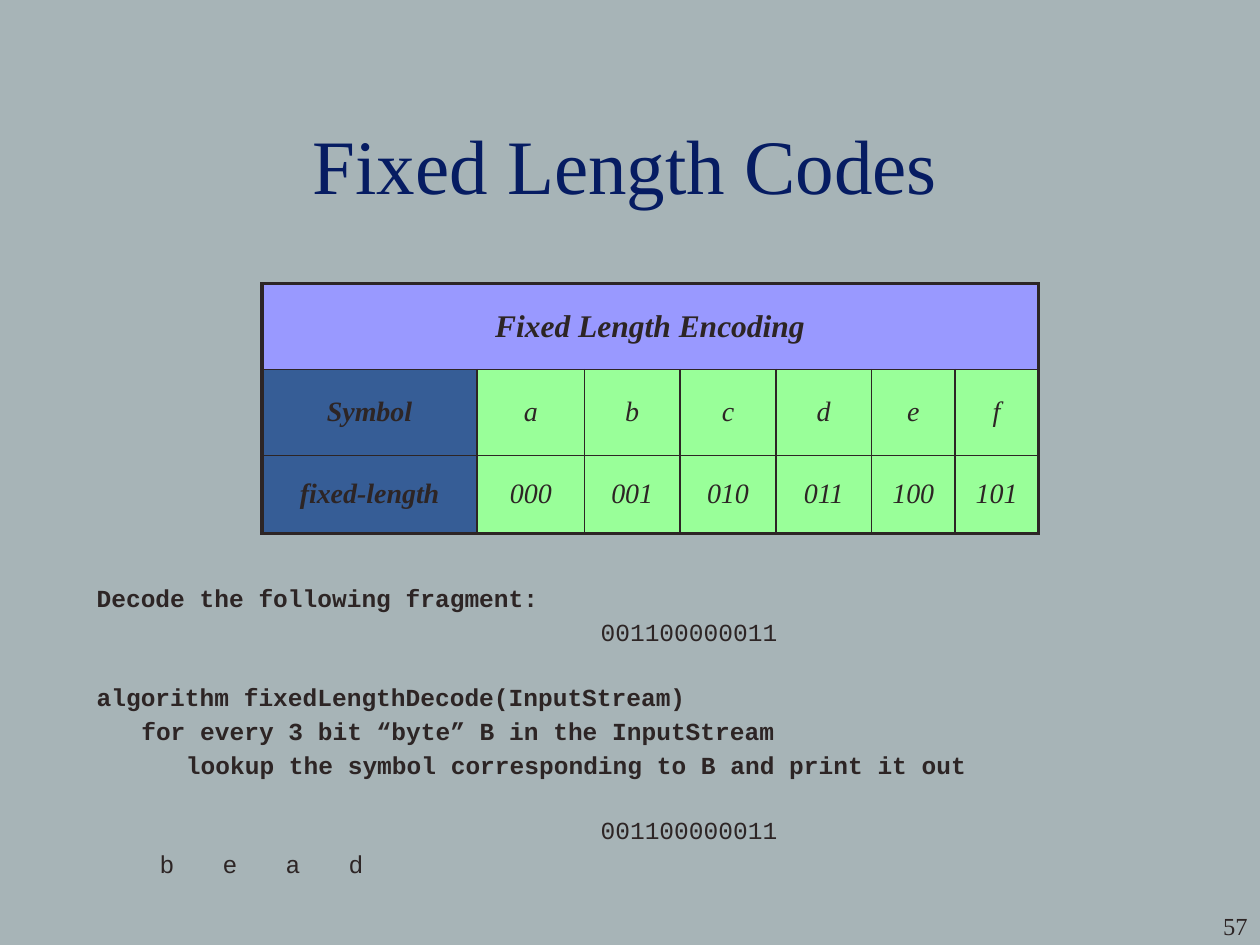
from lxml import etree
from pptx import Presentation
from pptx.dml.color import RGBColor
from pptx.enum.text import MSO_ANCHOR, PP_ALIGN
from pptx.oxml.ns import qn
from pptx.util import Cm, Pt

CENTER, RIGHT, MIDDLE = PP_ALIGN.CENTER, PP_ALIGN.RIGHT, MSO_ANCHOR.MIDDLE

THEME = {
    "background": "A7B4B7", "ink": "2D2525", "title": "061C62",
    "header": "9999FF", "label": "365D96", "code": "99FF99",
    "serif": "Times New Roman", "mono": "Courier New",
    "title_size": 44, "header_size": 18, "cell_size": 16, "text_size": 14,
    "outer_line": 2.25, "inner_line": 1, "line_gap": 2.4,
}

# Content
TITLE = "Fixed Length Codes"
PAGE_NUMBER = "57"
TABLE_HEADER = "Fixed Length Encoding"
TABLE_ROWS = [
    ["Symbol", "a", "b", "c", "d", "e", "f"],
    ["fixed-length", "000", "001", "010", "011", "100", "101"],
]
COLUMN_WIDTHS = [4.34, 2.16, 1.93, 1.93, 1.93, 1.68, 1.68]
ROW_HEIGHTS = [1.73, 1.73, 1.57]

# Lengths in centimetres: one code character, and where bit strings start
CHARACTER = 0.3
BITS_LEFT = 10.16
CODE_INDENT = 3 * CHARACTER
SYMBOL_TABS = [BITS_LEFT + CHARACTER + 3 * CHARACTER * i for i in range(4)]

# Text, bold, left indent, tab stops, skipped lines before
LINES = [
    ("Decode the following fragment:", True, 0, [], 0),
    ("001100000011", False, BITS_LEFT, [], 0),
    ("algorithm fixedLengthDecode(InputStream)", True, 0, [], 1),
    ("for every 3 bit “byte” B in the InputStream", True, CODE_INDENT, [], 0),
    ("lookup the symbol corresponding to B and print it out", True,
     2 * CODE_INDENT, [], 0),
    ("001100000011", False, BITS_LEFT, [], 1),
    ("\tb\te\ta\td", False, 0, SYMBOL_TABS, 0),
]
LINE_PITCH = 18.3


def color(name):
    return RGBColor.from_string(THEME[name])


def style(para, size, face="serif", ink="ink", bold=False, italic=False):
    font = para.font
    font.size, font.name = Pt(THEME[size]), THEME[face]
    font.bold, font.italic = bold, italic
    font.color.rgb = color(ink)


def add_text_box(page, left, top, width, height):
    box = page.shapes.add_textbox(Cm(left), Cm(top), Cm(width), Cm(height))
    box.text_frame.word_wrap = True
    return box.text_frame


def set_borders(cell, widths):
    properties = cell._tc.get_or_add_tcPr()
    for side, width in widths.items():
        line = etree.SubElement(properties, qn(f"a:ln{side}"), w=str(Pt(width)))
        fill = etree.SubElement(line, qn("a:solidFill"))
        etree.SubElement(fill, qn("a:srgbClr"), val=THEME["ink"])


def indent(para, left, tabs):
    properties = para._p.get_or_add_pPr()
    properties.set("marL", str(Cm(left)))
    properties.set("indent", "0")
    if tabs:
        stops = etree.Element(qn("a:tabLst"))
        for position in tabs:
            etree.SubElement(stops, qn("a:tab"), pos=str(Cm(position)), algn="l")
        properties.find(qn("a:defRPr")).addprevious(stops)


def add_code_table(page):
    row_count, column_count = len(ROW_HEIGHTS), len(COLUMN_WIDTHS)
    table = page.shapes.add_table(
        row_count, column_count, Cm(5.28), Cm(5.72),
        Cm(sum(COLUMN_WIDTHS)), Cm(sum(ROW_HEIGHTS))).table
    table.first_row = table.horz_banding = False
    for column, width in zip(table.columns, COLUMN_WIDTHS):
        column.width = Cm(width)
    for row, height in zip(table.rows, ROW_HEIGHTS):
        row.height = Cm(height)
    table.cell(0, 0).merge(table.cell(0, column_count - 1))

    for r, texts in enumerate([[TABLE_HEADER]] + TABLE_ROWS):
        for c, text in enumerate(texts):
            cell = table.cell(r, c)
            at_edge = {
                "L": c == 0, "R": c == len(texts) - 1,
                "T": r == 0, "B": r == row_count - 1,
            }
            set_borders(cell, {
                side: THEME["outer_line" if edge else "inner_line"]
                for side, edge in at_edge.items()})
            cell.fill.solid()
            part = "header" if r == 0 else "label" if c == 0 else "code"
            cell.fill.fore_color.rgb = color(part)
            cell.vertical_anchor = MIDDLE
            para = cell.text_frame.paragraphs[0]
            para.text, para.alignment = text, CENTER
            style(para, "header_size" if r == 0 else "cell_size",
                  bold=c == 0, italic=True)


def main():
    deck = Presentation()
    deck.slide_width, deck.slide_height = Cm(25.4), Cm(19.05)
    page = deck.slides.add_slide(deck.slide_layouts[5])
    page.background.fill.solid()
    page.background.fill.fore_color.rgb = color("background")

    # Title
    title = page.shapes.title
    title.left, title.top = Cm(0.64), Cm(1.7)
    title.width, title.height = Cm(23.93), Cm(3.18)
    title.text_frame.vertical_anchor = MIDDLE
    para = title.text_frame.paragraphs[0]
    para.text, para.alignment = TITLE, CENTER
    style(para, "title_size", ink="title")

    # Page number
    para = add_text_box(page, 21.16, 18.24, 4.24, 1.27).paragraphs[0]
    para.text, para.alignment = PAGE_NUMBER, RIGHT
    style(para, "text_size")

    add_code_table(page)

    # Decoding example and algorithm
    frame = add_text_box(page, 1.7, 11.63, 22.43, 6.05)
    for i, (text, bold, left, tabs, skipped) in enumerate(LINES):
        para = frame.add_paragraph() if i else frame.paragraphs[0]
        para.text = text
        para.space_before = Pt(THEME["line_gap"] + skipped * LINE_PITCH)
        style(para, "text_size", face="mono", bold=bold)
        indent(para, left, tabs)

    deck.save("out.pptx")


if __name__ == "__main__":
    main()
